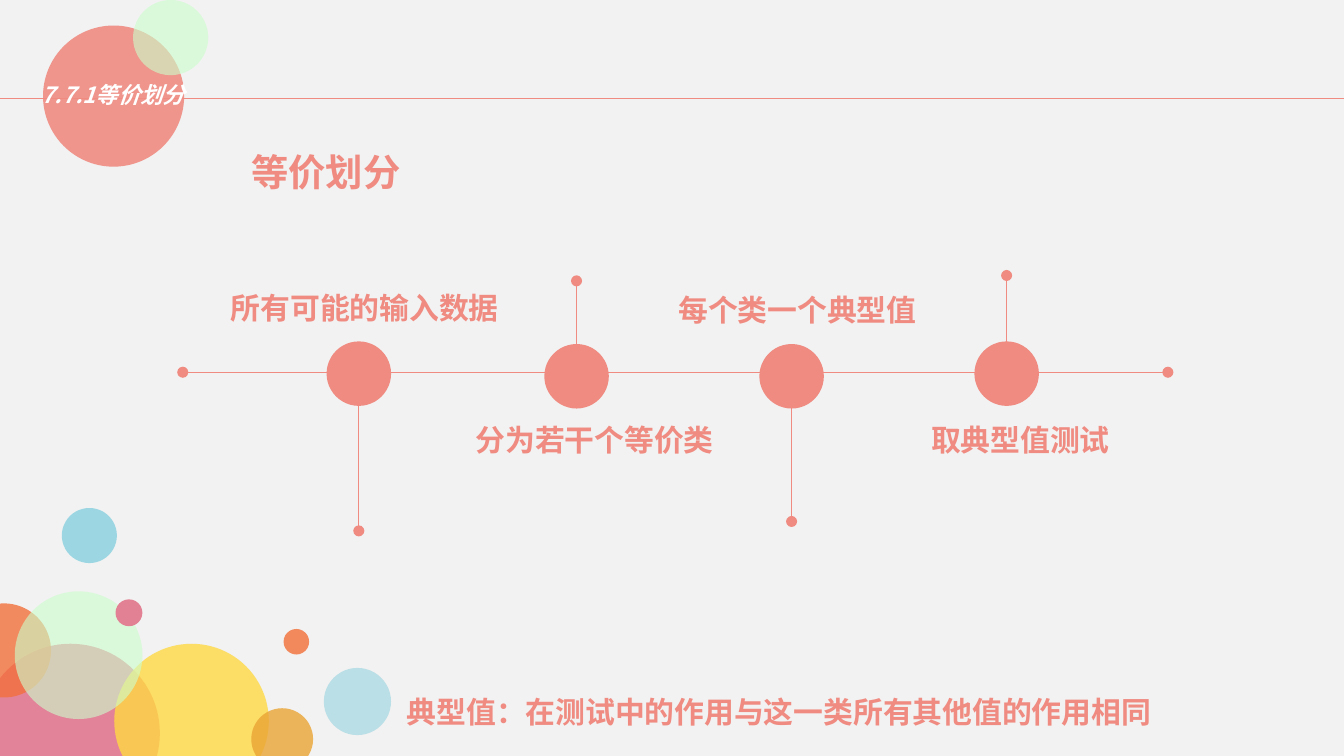
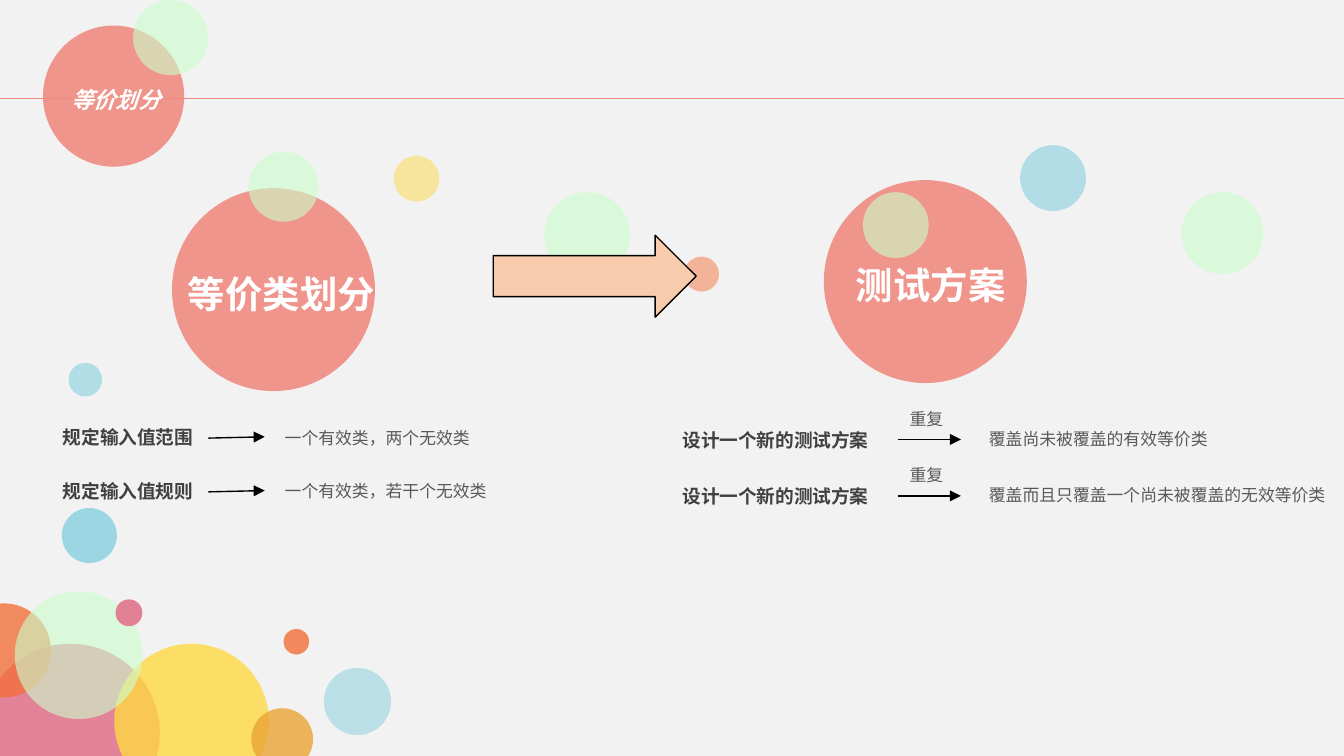
from lxml.etree import SubElement
from pptx import Presentation
from pptx.dml.color import RGBColor
from pptx.enum.shapes import MSO_CONNECTOR, MSO_SHAPE
from pptx.enum.text import MSO_ANCHOR, MSO_AUTO_SIZE, PP_ALIGN
from pptx.oxml.ns import qn
from pptx.util import Inches, Pt

CORAL, MINT, SKY = "EF8B81", "CCFFCC", "88D0E0"
WHITE, BLACK, DARK, GRAY = "FFFFFF", "000000", "404040", "595959"
BACKGROUND, PEACH = "F2F2F2", "F8CBAD"
CHINESE_FONT = "Noto Sans CJK SC"

CORNER_BUBBLES = [
    (2.41, 4.97, 0.5, "86CDDB", 50),
    (2.11, 4.68, 0.19, "F2895C", 100),
    (-0.14, 4.79, 1.33, "DB3D63", 61),
    (0.85, 4.79, 1.15, "FFD842", 80),
    (-0.32, 4.49, 0.7, "F3703B", 80),
    (0.11, 4.4, 0.95, MINT, 61),
    (0.86, 4.46, 0.2, "E28194", 100),
    (1.87, 5.27, 0.46, "EAA434", 80),
    (0.46, 3.78, 0.41, SKY, 80),
]
BADGE_CIRCLES = [(0.32, 0.19, 1.05, CORAL, 90), (0.99, 0, 0.56, MINT, 61)]

STEPS = [
    ("所有可能的输入数据", 2.67, 2.78, 3.95, (1.62, 2.11, 2.19)),
    ("分为若干个等价类", 4.29, 2.8, 2.09, (3.44, 3.09, 1.97)),
    ("每个类一个典型值", 5.89, 2.8, 3.88, (4.95, 2.12, 1.97)),
    ("取典型值测试", 7.49, 2.78, 2.05, (6.83, 3.09, 1.53)),
]

DIVISION_CIRCLES = [(1.28, 1.4, 1.51, CORAL, 90), (1.85, 1.13, 0.52, MINT, 61)]
PLAN_CIRCLES = [
    (4.05, 1.43, 0.64, MINT, 61),
    (0.51, 2.7, 0.25, SKY, 61),
    (2.93, 1.16, 0.34, "FCDD65", 60),
    (6.13, 1.34, 1.51, CORAL, 90),
    (6.42, 1.43, 0.49, MINT, 61),
]
LOOSE_CIRCLES = [
    (5.09, 1.91, 0.26, "F28A5F", 60),
    (8.79, 1.43, 0.61, MINT, 61),
    (7.59, 1.08, 0.49, SKY, 60),
]
INPUT_RULES = [
    ("规定输入值范围", "一个有效类，两个无效类"),
    ("规定输入值规则", "一个有效类，若干个无效类"),
]
COVERAGE_RULES = [
    ("覆盖尚未被覆盖的有效等价类", 1.99),
    ("覆盖而且只覆盖一个尚未被覆盖的无效等价类", 2.79),
]


def paint(color_format, color):
    """Set a fill or font colour from a hex string."""
    color_format.rgb = RGBColor.from_string(color)


def fill_shape(shape, color, opacity=100):
    """Give a shape a plain fill without shadow or outline."""
    shape.shadow.inherit = False
    shape.fill.solid()
    paint(shape.fill.fore_color, color)
    shape.line.fill.background()
    if opacity < 100:
        color_node = shape.fill._xPr.find(qn("a:solidFill"))[0]
        SubElement(color_node, qn("a:alpha")).set("val", str(opacity * 1000))


def add_circles(slide, circles):
    """Add circles given as left, top, diameter, colour and opacity."""
    for left, top, diameter, color, opacity in circles:
        circle = slide.shapes.add_shape(
            MSO_SHAPE.OVAL, Inches(left), Inches(top), Inches(diameter), Inches(diameter))
        fill_shape(circle, color, opacity)


def add_line(slide, start, end, color=CORAL, width=0.5, head=None, tail=None):
    """Add a straight line with optional end marks."""
    line = slide.shapes.add_connector(
        MSO_CONNECTOR.STRAIGHT, *(Inches(length) for length in (*start, *end)))
    paint(line.line.color, color)
    line.line.width = Pt(width)
    outline = line.line._get_or_add_ln()
    for tag, mark in (("a:headEnd", head), ("a:tailEnd", tail)):
        if mark:
            SubElement(outline, qn(tag)).set("type", mark)
    SubElement(line._element.spPr, qn("a:effectLst"))


def write_text(box, text, size, color, font=CHINESE_FONT, bold=True, italic=False, wrap=False):
    """Write one left-aligned paragraph into a box."""
    frame = box.text_frame
    frame.text = text
    frame.word_wrap = wrap
    frame.auto_size = MSO_AUTO_SIZE.NONE
    frame.vertical_anchor = MSO_ANCHOR.TOP
    para = frame.paragraphs[0]
    para.alignment = PP_ALIGN.LEFT
    span = para.runs[0]
    span.font.size, span.font.bold, span.font.italic = Pt(size), bold, italic
    span.font.name = font
    paint(span.font.color, color)
    SubElement(span.font._element, qn("a:ea")).set("typeface", CHINESE_FONT)


def add_text(slide, text, left, top, width, height, size, color, **style):
    """Add a text box."""
    box = slide.shapes.add_textbox(Inches(left), Inches(top), Inches(width), Inches(height))
    write_text(box, text, size, color, **style)


def add_note(slide, text, left, top, width=1.99):
    """Add a small gray note."""
    add_text(slide, text, left, top, width, 0.25, 9, GRAY, font="Arial", bold=False, wrap=True)


def add_arrow(slide, start, end):
    """Add a thin black arrow."""
    add_line(slide, start, end, BLACK, 0.75, tail="triangle")


def add_page(deck, title, left, top, width):
    """Add a slide with bubbles, header line and title badge."""
    slide = deck.slides.add_slide(deck.slide_layouts[5])
    add_circles(slide, CORNER_BUBBLES)
    add_line(slide, (0, 0.73), (10, 0.73))
    add_circles(slide, BADGE_CIRCLES)
    box = slide.shapes.title
    box.left, box.top, box.width, box.height = map(Inches, (left, top, width, 0.3))
    write_text(box, title, 12, WHITE, italic=True, wrap=True)
    slide.shapes._spTree.append(box._element)
    return slide


def add_timeline(slide):
    """Draw the four steps along a horizontal axis."""
    for text, center, middle, stem_end, (left, top, width) in STEPS:
        add_line(slide, (center, middle), (center, stem_end), head="oval", tail="oval")
        add_text(slide, text, left, top, width, 0.37, 16, CORAL)
    add_line(slide, (1.36, 2.77), (8.69, 2.77), head="oval", tail="oval")
    add_circles(slide, [(center - 0.24, middle - 0.24, 0.48, CORAL, 100)
                        for _, center, middle, _, _ in STEPS])


def build_partition_page(deck):
    """Build the slide on the steps of equivalence partitioning."""
    slide = add_page(deck, "7.7.1等价划分", 0.21, 0.55, 1.27)
    add_text(slide, "等价划分", 1.77, 1.06, 1.31, 0.44, 20, CORAL)
    add_timeline(slide)
    add_text(slide, "典型值：在测试中的作用与这一类所有其他值的作用相同",
             2.93, 5.11, 5.74, 0.37, 16, CORAL)


def build_plan_page(deck):
    """Build the slide leading from classes to test plans."""
    slide = add_page(deck, "等价划分", 0.43, 0.59, 0.9)
    add_circles(slide, DIVISION_CIRCLES)
    add_text(slide, "等价类划分", 1.3, 1.97, 1.59, 0.44, 20, WHITE)
    add_circles(slide, PLAN_CIRCLES)
    add_text(slide, "测试方案", 6.27, 1.9, 1.31, 0.44, 20, WHITE)
    add_circles(slide, LOOSE_CIRCLES)
    for row, (label, classes) in enumerate(INPUT_RULES):
        top = 3.12 + 0.4 * row
        add_note(slide, classes, 2.02, top + 0.01)
        add_text(slide, label, 0.37, top, 1.17, 0.27, 10, DARK)
        add_arrow(slide, (1.55, top + 0.14), (1.97, top + 0.13))
    for row, (coverage, width) in enumerate(COVERAGE_RULES):
        top = 3.14 + 0.42 * row
        add_note(slide, coverage, 7.26, top, width)
        add_text(slide, "设计一个新的测试方案", 4.98, top, 1.62, 0.27, 10, DARK, wrap=True)
        add_arrow(slide, (6.68, top + 0.13), (7.15, top + 0.13))
        add_note(slide, "重复", 6.67, top - 0.15)
    arrow = slide.shapes.add_shape(
        MSO_SHAPE.RIGHT_ARROW, Inches(3.67), Inches(1.75), Inches(1.51), Inches(0.61))
    fill_shape(arrow, PEACH)
    arrow.line.fill.solid()
    paint(arrow.line.color, BLACK)
    arrow.line.width = Pt(0.75)


def main():
    """Build and save the deck."""
    deck = Presentation()
    deck.slide_width, deck.slide_height = Inches(10), Inches(10) * 9 // 16
    backdrop = deck.slide_master.background.fill
    backdrop.solid()
    paint(backdrop.fore_color, BACKGROUND)
    build_partition_page(deck)
    build_plan_page(deck)
    deck.save("out.pptx")


if __name__ == "__main__":
    main()
